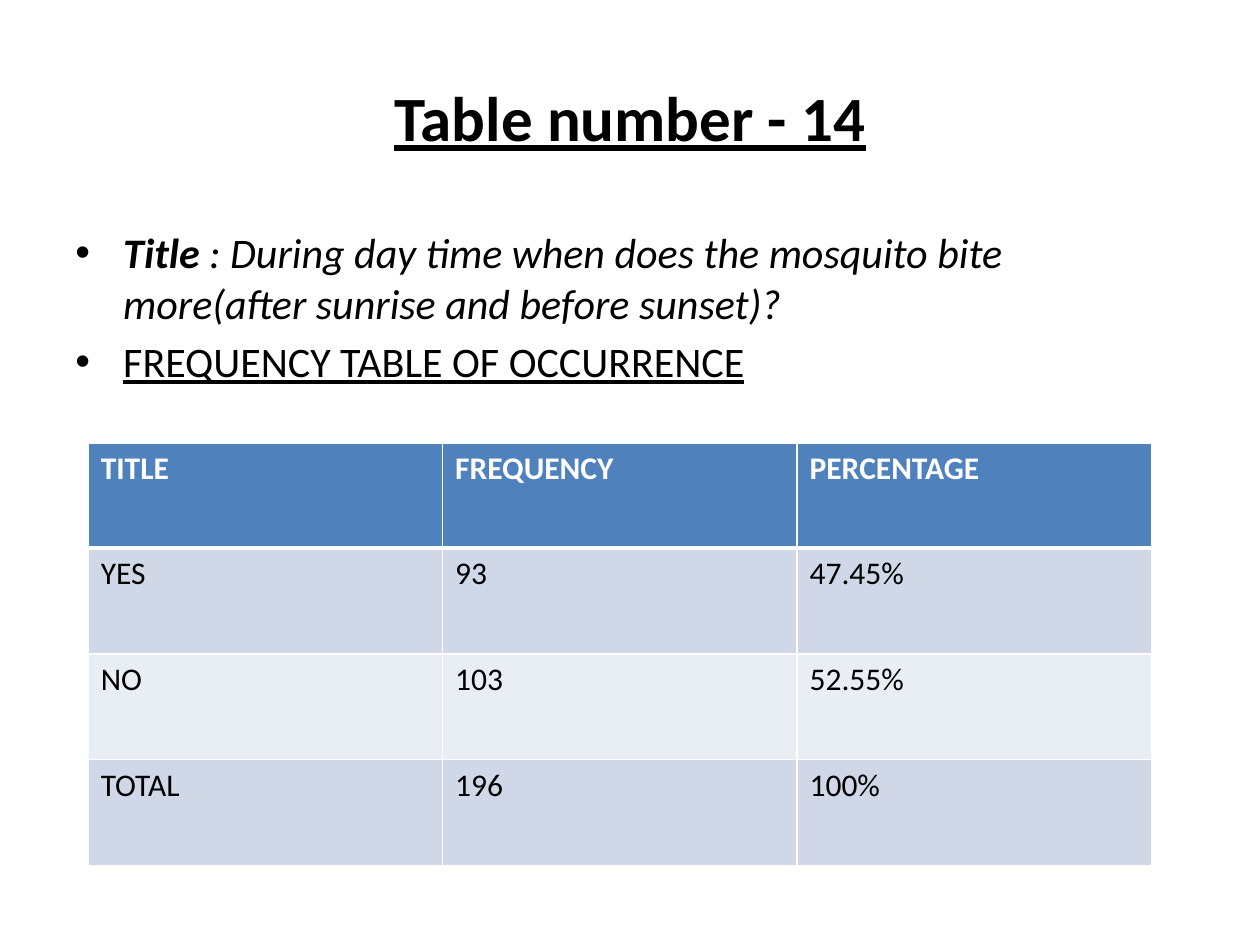
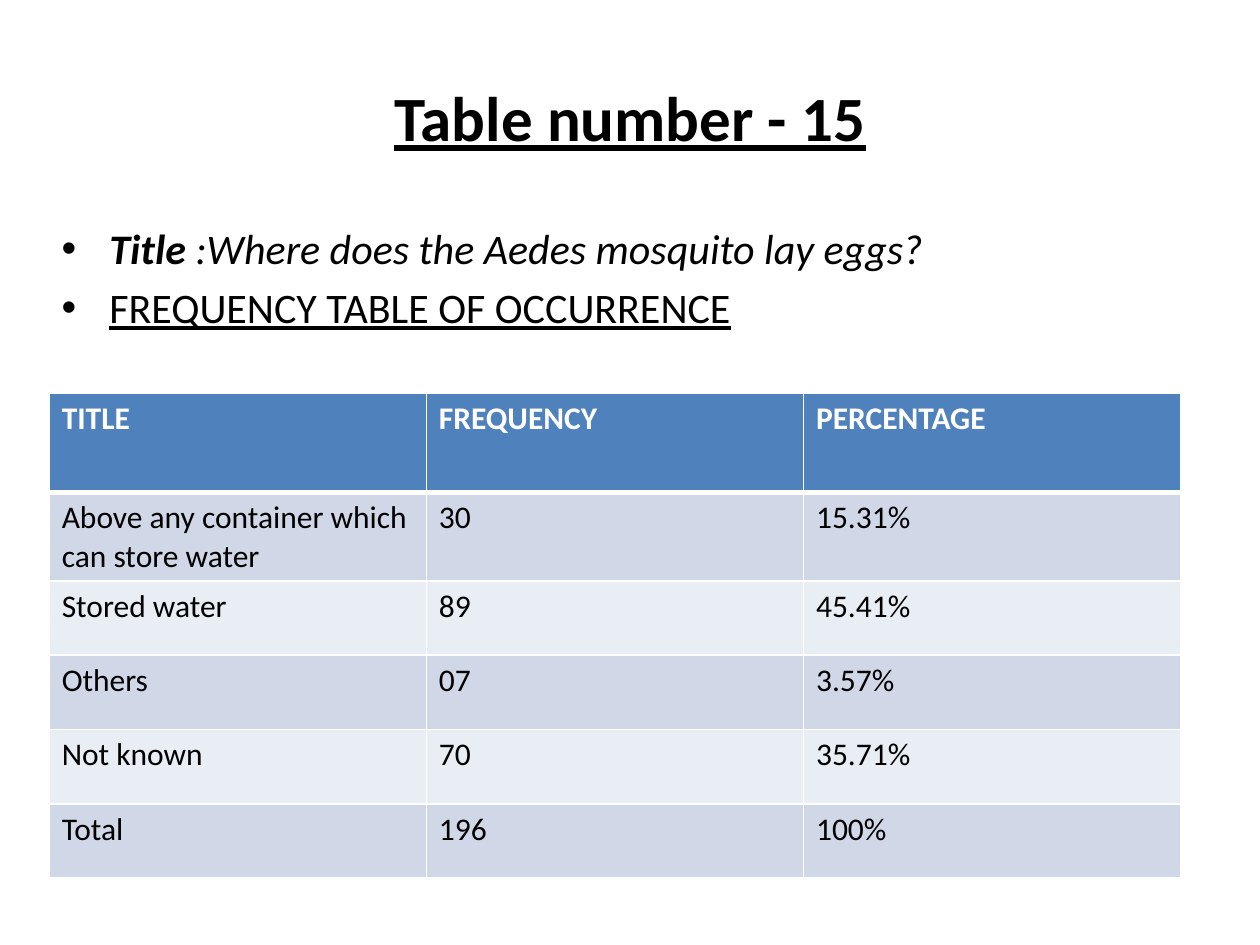
from lxml import etree
from pptx import Presentation
from pptx.dml.color import RGBColor
from pptx.enum.text import MSO_ANCHOR, PP_ALIGN
from pptx.oxml.ns import qn
from pptx.util import Inches, Pt

CENTER, LEFT, MIDDLE = PP_ALIGN.CENTER, PP_ALIGN.LEFT, MSO_ANCHOR.MIDDLE
FONT = "Calibri"
COLORS = {"ink": "000000", "paper": "FFFFFF", "header": "4F81BD",
          "odd_row": "D0D8E8", "even_row": "E9EDF4"}
WIDTH, HEIGHT = 10, 7.5
MARGIN = 0.05 * WIDTH
TITLE_BOX = (MARGIN, 0.04 * HEIGHT, WIDTH - 2 * MARGIN, HEIGHT / 6)
BODY_SIZE = (WIDTH - 2 * MARGIN, 0.66 * HEIGHT)
BULLET_INDENT = 0.38
HEADINGS = ["TITLE", "FREQUENCY", "PERCENTAGE"]
CAPTION = "FREQUENCY TABLE OF OCCURRENCE"

SLIDES = [
    {
        "title": "Table number - 14",
        "question": " : During day time when does the mosquito bite "
                    "more(after sunrise and before sunset)?",
        "body_at": (0.5, 1.75),
        "table_at": (0.7, 3.52), "table_width": 8.44,
        "header_height": 0.83, "row_height": 0.84,
        "rows": [("YES", "93", "47.45%"),
                 ("NO", "103", "52.55%"),
                 ("TOTAL", "196", "100%")],
    },
    {
        "title": "Table number - 15",
        "question": " :Where does the Aedes mosquito lay eggs?",
        "body_at": (0.39, 1.72),
        "table_at": (0.39, 3.12), "table_width": 8.98,
        "header_height": 0.79, "row_height": 0.59,
        "rows": [("Above any container which can store water", "30", "15.31%"),
                 ("Stored water", "89", "45.41%"),
                 ("Others", "07", "3.57%"),
                 ("Not known", "70", "35.71%"),
                 ("Total", "196", "100%")],
    },
]


def add_text(para, text, size, color="ink", bold=False, italic=False,
             underline=False, align=LEFT):
    para.alignment = align
    span = para.add_run()
    span.text = text
    font = span.font
    font.name, font.size = FONT, Pt(size)
    font.bold, font.italic, font.underline = bold, italic, underline
    font.color.rgb = RGBColor.from_string(COLORS[color])


def make_bullet(para):
    props = para._p.get_or_add_pPr()
    props.set("marL", str(Inches(BULLET_INDENT)))
    props.set("indent", str(-Inches(BULLET_INDENT)))
    space = etree.SubElement(props, qn("a:spcBef"))
    etree.SubElement(space, qn("a:spcPct"), val="20000")
    etree.SubElement(props, qn("a:buFont"), typeface="Arial")
    etree.SubElement(props, qn("a:buChar"), char="•")


def set_borders(cell, top, bottom):
    props = cell._tc.get_or_add_tcPr()
    sides = {"a:lnL": 1, "a:lnR": 1, "a:lnT": top, "a:lnB": bottom}
    for place, (tag, points) in enumerate(sides.items()):
        line = etree.Element(qn(tag), w=str(Pt(points)))
        fill = etree.SubElement(line, qn("a:solidFill"))
        etree.SubElement(fill, qn("a:srgbClr"), val=COLORS["paper"])
        props.insert(place, line)


def add_title(page, text):
    box = page.shapes.title
    box.left, box.top, box.width, box.height = map(Inches, TITLE_BOX)
    box.text_frame.vertical_anchor = MIDDLE
    add_text(box.text_frame.paragraphs[0], text, 36, bold=True,
             underline=True, align=CENTER)


def add_body(page, position, question):
    box = page.shapes.add_textbox(*map(Inches, position + BODY_SIZE))
    frame = box.text_frame
    frame.word_wrap = True
    first, second = frame.paragraphs[0], frame.add_paragraph()
    add_text(first, "Title", 24, bold=True, italic=True)
    add_text(first, question, 24, italic=True)
    add_text(second, CAPTION, 24, underline=True)
    make_bullet(first)
    make_bullet(second)


def add_frequency_table(page, content):
    rows = [HEADINGS] + content["rows"]
    heights = [content["header_height"]] + [content["row_height"]] * len(content["rows"])
    size = (content["table_width"], sum(heights))
    table = page.shapes.add_table(len(rows), len(HEADINGS),
                                  *map(Inches, content["table_at"] + size)).table
    for row, height in zip(table.rows, heights):
        row.height = Inches(height)
    for column in table.columns:
        column.width = Inches(content["table_width"] / len(HEADINGS))
    for r, values in enumerate(rows):
        header = r == 0
        fill = "header" if header else "odd_row" if r % 2 else "even_row"
        for c, value in enumerate(values):
            cell = table.cell(r, c)
            cell.fill.solid()
            cell.fill.fore_color.rgb = RGBColor.from_string(COLORS[fill])
            set_borders(cell, top=3 if r == 1 else 1, bottom=3 if header else 1)
            add_text(cell.text_frame.paragraphs[0], value, 18,
                     color="paper" if header else "ink", bold=header)


deck = Presentation()
deck.slide_width, deck.slide_height = Inches(WIDTH), Inches(HEIGHT)
title_only = deck.slide_layouts.get_by_name("Title Only")
for content in SLIDES:
    page = deck.slides.add_slide(title_only)
    add_title(page, content["title"])
    add_body(page, content["body_at"], content["question"])
    add_frequency_table(page, content)
deck.save("out.pptx")
